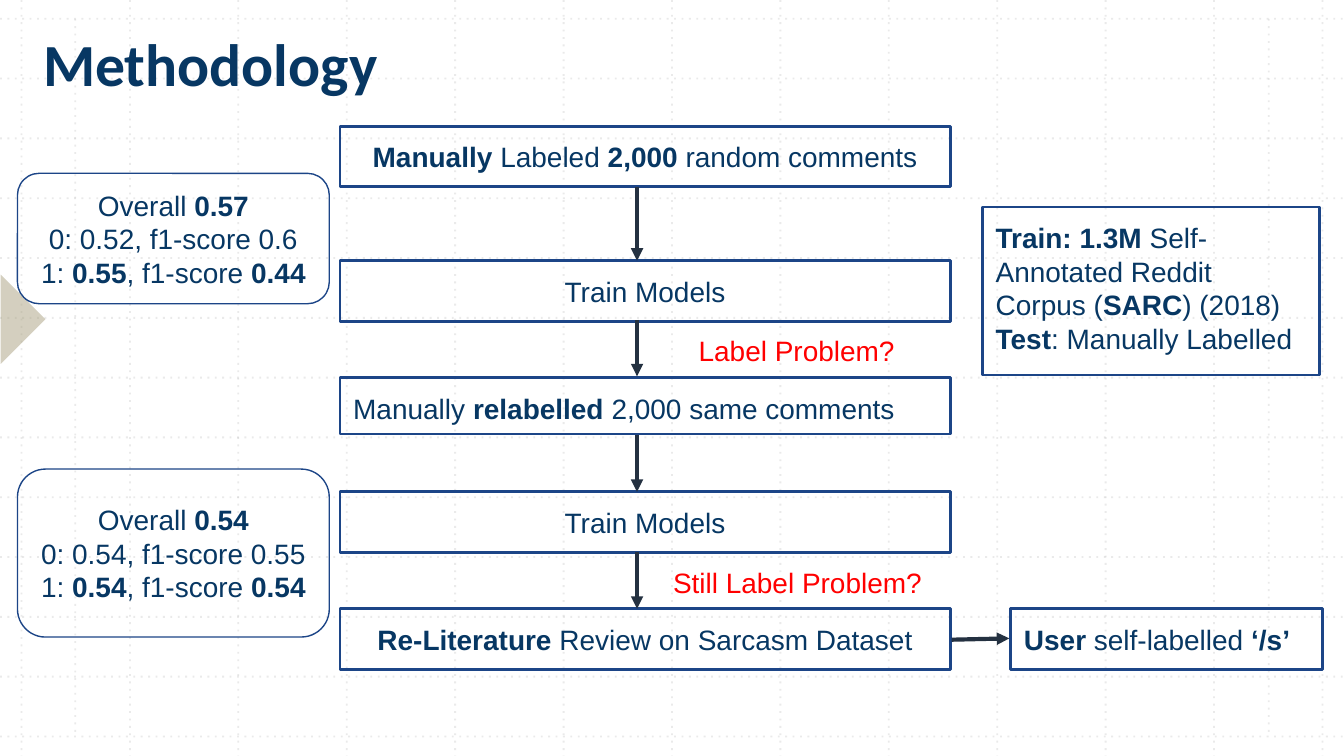
from dataclasses import dataclass

from lxml import etree
from pptx import Presentation
from pptx.dml.color import RGBColor
from pptx.enum.shapes import MSO_CONNECTOR, MSO_SHAPE
from pptx.enum.text import MSO_ANCHOR, MSO_AUTO_SIZE, PP_ALIGN
from pptx.oxml.ns import qn
from pptx.util import Inches, Pt

STRAIGHT = MSO_CONNECTOR.STRAIGHT
RECTANGLE, ROUNDED = MSO_SHAPE.RECTANGLE, MSO_SHAPE.ROUNDED_RECTANGLE
TRIANGLE = MSO_SHAPE.RIGHT_TRIANGLE
TOP, MIDDLE, BOTTOM = MSO_ANCHOR.TOP, MSO_ANCHOR.MIDDLE, MSO_ANCHOR.BOTTOM
LEFT, CENTER = PP_ALIGN.LEFT, PP_ALIGN.CENTER
NO_AUTOFIT = MSO_AUTO_SIZE.NONE

COLORS = {"text": "073763", "border": "1C4587", "arrow": "243141",
          "question": "FF0000", "grid": "BCBCBC", "marker": "AAA180"}
WIDTH = 10
HEIGHT = WIDTH * 9 / 16
STEP_LEFT, STEP_WIDTH, STEP_HEIGHT = 2.53, 4.54, 0.45
ARROW_X = 4.74


@dataclass
class Box:
    left: float
    top: float
    width: float
    height: float
    lines: list[str]  # **…** marks bold
    align: int = CENTER
    shape: int = RECTANGLE
    border: float = 1.5
    anchor: int = TOP


@dataclass
class Line:
    x1: float
    y1: float
    x2: float
    y2: float


def color(name: str) -> RGBColor:
    return RGBColor.from_string(COLORS[name])


def set_alpha(element, percent: int) -> None:
    for tone in element.iter(qn("a:srgbClr")):
        etree.SubElement(tone, qn("a:alpha"), val=str(percent * 1000))


def add_line(slide, line: Line, tone: str, weight: float):
    connector = slide.shapes.add_connector(
        STRAIGHT, Inches(line.x1), Inches(line.y1), Inches(line.x2), Inches(line.y2))
    connector.line.color.rgb = color(tone)
    connector.line.width = Pt(weight)
    properties = connector.element.spPr
    etree.SubElement(properties, qn("a:effectLst"))
    return properties.find(qn("a:ln"))


def add_grid_line(slide, line: Line) -> None:
    outline = add_line(slide, line, "grid", 1)
    set_alpha(outline, 30)
    etree.SubElement(outline, qn("a:prstDash"), val="dot")


def add_arrow(slide, line: Line) -> None:
    outline = add_line(slide, line, "arrow", 2.25)
    etree.SubElement(outline, qn("a:tailEnd"), type="triangle")


def write_lines(frame, lines: list[str], align: int, tone: str) -> None:
    frame.word_wrap = True
    frame.margin_left = frame.margin_right = Inches(0.1)
    frame.margin_top = frame.margin_bottom = Inches(0.1)
    for number, line in enumerate(lines):
        para = frame.add_paragraph() if number else frame.paragraphs[0]
        para.alignment = align
        para.font.name, para.font.size = "Arial", Pt(15)
        para.font.color.rgb = color(tone)
        for position, part in enumerate(line.split("**")):
            if part:
                span = para.add_run()
                span.text = part
                span.font.bold = position % 2 == 1


def add_box(slide, box: Box) -> None:
    shape = slide.shapes.add_shape(box.shape, Inches(box.left), Inches(box.top),
                                   Inches(box.width), Inches(box.height))
    shape.shadow.inherit = False
    shape.fill.background()
    shape.line.color.rgb = color("border")
    shape.line.width = Pt(box.border)
    shape.text_frame.vertical_anchor = box.anchor
    write_lines(shape.text_frame, box.lines, box.align, "text")


def add_question(slide, left: float, top: float, width: float, text: str) -> None:
    label = slide.shapes.add_textbox(Inches(left), Inches(top), Inches(width), Inches(0.55))
    write_lines(label.text_frame, [text], LEFT, "question")


def step(top: float, text: str, align: int = CENTER, height: float = STEP_HEIGHT) -> Box:
    return Box(STEP_LEFT, top, STEP_WIDTH, height, [text], align)


def score(top: float, height: float, lines: list[str]) -> Box:
    return Box(0.13, top, 2.32, height, lines, CENTER, ROUNDED, 0.75, MIDDLE)


BOXES = [
    # Steps, from top to bottom
    step(0.94, "**Manually** Labeled **2,000** random comments"),
    step(1.94, "Train Models"),
    step(2.81, "Manually **relabelled** 2,000 same comments", LEFT, 0.42),
    step(3.66, "Train Models"),
    step(4.53, "**Re-Literature** Review on Sarcasm Dataset"),
    # Scores
    score(1.29, 0.97, ["Overall **0.57**", "0: 0.52, f1-score 0.6",
                       "1: **0.55**, f1-score **0.44**"]),
    score(3.49, 1.25, ["Overall **0.54**", "0: 0.54, f1-score 0.55",
                       "1: **0.54**, f1-score **0.54**"]),
    # Data sets
    Box(7.31, 1.54, 2.51, 1.25,
        ["**Train: 1.3M** Self-Annotated Reddit Corpus (**SARC**) (2018)",
         "**Test**: Manually Labelled"], LEFT),
    Box(7.52, 4.53, 2.32, STEP_HEIGHT, ["**User** self-labelled **‘/s’**"], LEFT),
]
ARROW_SPANS = [(1.39, 1.94), (2.38, 2.8), (3.24, 3.66), (4.11, 4.53)]


def add_background(slide) -> None:
    for i in range(13):
        x, y = 0.16 + i * 9.68 / 12, 0.14 + i * 5.34 / 12
        add_grid_line(slide, Line(x, 0, x, HEIGHT))
        add_grid_line(slide, Line(0, y, WIDTH, y))
    for x in (0.56, 9.44):
        add_grid_line(slide, Line(x, 0.14, x, 5.48))
    marker = slide.shapes.add_shape(TRIANGLE, Inches(-0.23), Inches(2.14),
                                    Inches(0.47), Inches(0.47))
    marker.rotation = 225
    marker.shadow.inherit = False
    marker.line.fill.background()
    marker.fill.solid()
    marker.fill.fore_color.rgb = color("marker")
    set_alpha(marker.element.spPr, 50)


def add_title(slide, text: str) -> None:
    title = slide.shapes.title
    title.left, title.top = Inches(0.25), Inches(0.13)
    title.width, title.height = Inches(2.74), Inches(0.64)
    frame = title.text_frame
    frame.text = text
    frame.auto_size = NO_AUTOFIT
    frame.word_wrap = True
    frame.vertical_anchor = BOTTOM
    frame.margin_left = frame.margin_right = Inches(0.07)
    frame.margin_top = frame.margin_bottom = Inches(0.04)
    para = frame.paragraphs[0]
    para.alignment = LEFT
    para.font.name, para.font.size, para.font.bold = "Calibri", Pt(32), True
    para.font.color.rgb = color("text")
    # Bring the title in front of the grid
    title.element.getparent().append(title.element)


def main() -> None:
    deck = Presentation()
    deck.slide_width, deck.slide_height = Inches(WIDTH), Inches(HEIGHT)
    page = deck.slides.add_slide(deck.slide_layouts[5])
    add_background(page)
    add_title(page, "Methodology")
    for box in BOXES:
        add_box(page, box)
    for start, end in ARROW_SPANS:
        add_arrow(page, Line(ARROW_X, start, ARROW_X, end))
    add_arrow(page, Line(7.08, 4.76, 7.51, 4.75))
    add_question(page, 5.1, 2.38, 1.7, "Label Problem?")
    add_question(page, 4.91, 4.11, 2.07, "Still Label Problem?")
    deck.save("out.pptx")


if __name__ == "__main__":
    main()
